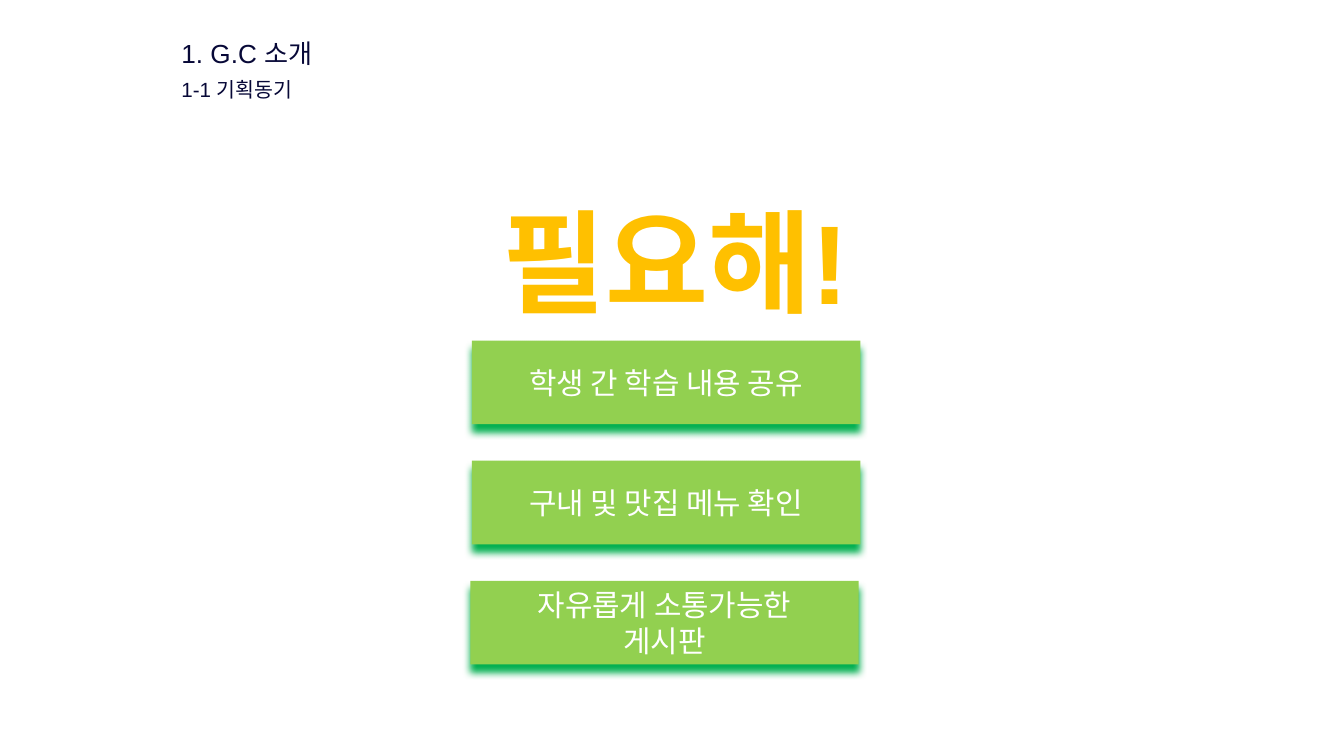
"""Build the slide on why the app is needed."""
from lxml import etree
from pptx import Presentation
from pptx.dml.color import RGBColor
from pptx.enum.shapes import MSO_SHAPE
from pptx.enum.text import MSO_ANCHOR, PP_ALIGN
from pptx.oxml.ns import qn
from pptx.util import Cm, Pt

RECT = MSO_SHAPE.RECTANGLE
TOP, MID = MSO_ANCHOR.TOP, MSO_ANCHOR.MIDDLE
LEFT, MIDST = PP_ALIGN.LEFT, PP_ALIGN.CENTER

THEME = {
    "face": "Arial",
    "fill": "92D050",
    "shade": "00B050",
    "title": {"size": 14, "color": "070837", "bold": False},
    "sub": {"size": 11, "color": "070837", "bold": False},
    "shout": {"size": 60, "color": "FFC000", "bold": True},
    "need": {"size": 16, "color": "FFFFFF", "bold": False},
}

LABELS = [
    ("title", "1. G.C 소개", (3.18, 0.58, 4.52, 1.19), TOP),
    ("sub", "1-1 기획동기", (3.18, 1.4, 7.75, 0.58), MID),
    ("shout", "필요해!", (9.25, 3.51, 7.85, 2.82), TOP),
]
NEEDS = [
    (8.92, ["학생 간 학습 내용 공유"]),
    (8.92, ["구내 및 맛집 메뉴 확인"]),
    (8.89, ["자유롭게 소통가능한", "게시판"]),
]
START, STEP = 6.44, 2.27
WIDE, HIGH = 7.34, 1.58


def write(shape, lines, style, anchor, align):
    frame = shape.text_frame
    form = {
        "word_wrap": True, "vertical_anchor": anchor,
        "margin_left": Cm(0.25), "margin_right": Cm(0.25),
        "margin_top": Cm(0.13), "margin_bottom": Cm(0.13),
    }
    for name, value in form.items():
        setattr(frame, name, value)
    frame.text = "\n".join(lines)
    look = THEME[style]
    font_form = {"name": THEME["face"], "size": Pt(look["size"]), "bold": look["bold"]}
    for para in frame.paragraphs:
        para.alignment = align
        for run in para.runs:
            for name, value in font_form.items():
                setattr(run.font, name, value)
            run.font.color.rgb = RGBColor.from_string(look["color"])


def shade(shape):
    shape.shadow.inherit = False
    effects = shape.element.spPr.find(qn("a:effectLst"))
    form = {"blurRad": Pt(4), "dist": Pt(4), "dir": 90 * 60000, "algn": "t", "rotWithShape": 0}
    outer = etree.SubElement(effects, qn("a:outerShdw"))
    for name, value in form.items():
        outer.set(name, str(value))
    color = etree.SubElement(outer, qn("a:srgbClr"), val=THEME["shade"])
    etree.SubElement(color, qn("a:alpha"), val="99000")


def main():
    deck = Presentation()
    deck.slide_width, deck.slide_height = Cm(25.4), Cm(14.29)
    shapes = deck.slides.add_slide(deck.slide_layouts[6]).shapes

    for style, text, place, anchor in LABELS:
        box = shapes.add_textbox(*map(Cm, place))
        write(box, [text], style, anchor, LEFT)

    for row, (left, lines) in enumerate(NEEDS):
        place = (left, START + row * STEP, WIDE, HIGH)
        card = shapes.add_shape(RECT, *map(Cm, place))
        card.fill.solid()
        card.fill.fore_color.rgb = RGBColor.from_string(THEME["fill"])
        card.line.fill.background()
        shade(card)
        write(card, lines, "need", MID, MIDST)

    deck.save("out.pptx")


if __name__ == "__main__":
    main()
